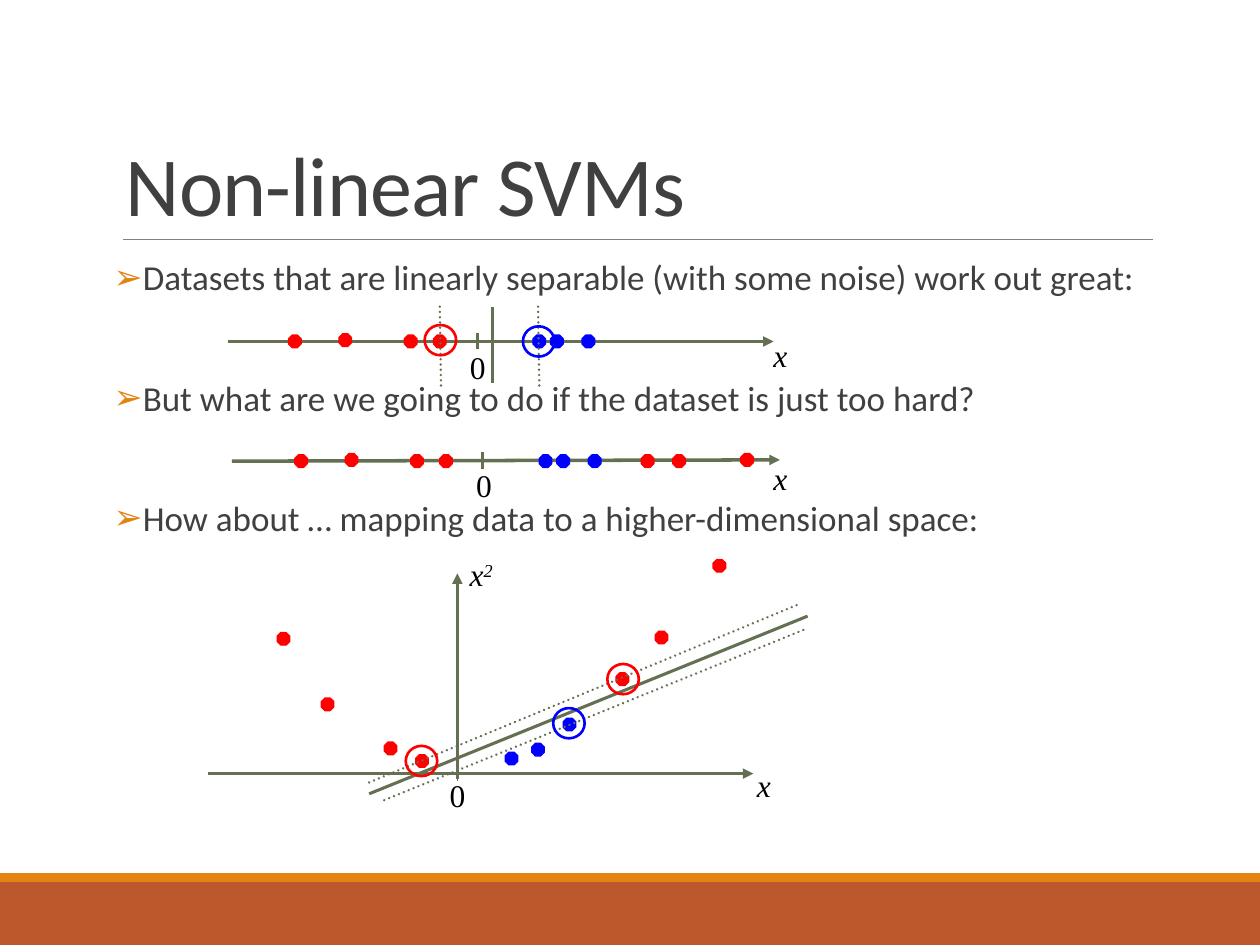
from lxml.etree import SubElement
from pptx import Presentation
from pptx.dml.color import RGBColor
from pptx.enum.dml import MSO_LINE
from pptx.enum.shapes import MSO_CONNECTOR, MSO_SHAPE
from pptx.enum.text import MSO_ANCHOR
from pptx.oxml.ns import qn
from pptx.util import Pt

PX = 9144
C = {
    "rust": "BD582C", "orange": "E48312", "rule": "808080", "text": "404040",
    "axis": "637052", "red": "FF0000", "blue": "0000FF", "black": "000000",
}
C = {k: RGBColor.from_string(v) for k, v in C.items()}

prs = Presentation()
prs.slide_width, prs.slide_height = 1000 * PX, 750 * PX
s = prs.slides.add_slide(prs.slide_layouts[6])


def add_line(x1, y1, x2, y2, width, color="axis", arrow=False, dotted=False):
    ln = s.shapes.add_connector(
        MSO_CONNECTOR.STRAIGHT, *[v * PX for v in (x1, y1, x2, y2)])
    ln.line.color.rgb = C[color]
    ln.line.width = Pt(width)
    if dotted:
        ln.line.dash_style = MSO_LINE.ROUND_DOT
        ln.line._get_or_add_ln().set("cap", "rnd")
    if arrow:
        SubElement(ln.line._get_or_add_ln(), qn("a:tailEnd"), type="triangle")
    SubElement(ln._element.spPr, qn("a:effectLst"))


def add_text(box, paras, size, color, font="Calibri", **fmt):
    tf = s.shapes.add_textbox(*[v * PX for v in box]).text_frame
    tf.word_wrap = True
    for k, v in fmt.items():
        setattr(tf, k, v)
    for i, text in enumerate(paras):
        p = tf.paragraphs[0] if i == 0 else tf.add_paragraph()
        r = p.add_run()
        r.text = text
        for k, v in {"size": Pt(size), "name": font}.items():
            setattr(r.font, k, v)
        r.font.color.rgb = C[color]
    return tf


for y, h, color in [(700, 50, "rust"), (693, 7, "orange")]:
    sp = s.shapes.add_shape(MSO_SHAPE.RECTANGLE, 0, y * PX, 1000 * PX, h * PX)
    sp.shadow.inherit = False
    sp.fill.solid()
    sp.fill.fore_color.rgb = C[color]
    sp.line.fill.background()
add_line(98, 190, 915, 190, 0.5, "rule")

tf = add_text((90, 31, 825, 159), ["Non-linear SVMs"], 48, "text",
              vertical_anchor=MSO_ANCHOR.BOTTOM)
p = tf.paragraphs[0]
p.line_spacing = 0.85
p.runs[0].font._element.set("spc", "-50")

tf = add_text((90, 202, 825, 440), [
    "Datasets that are linearly separable (with some noise) work out great:",
    "But what are we going to do if the dataset is just too hard?",
    "How about … mapping data to a higher-dimensional space:",
], 20, "text", margin_left=0, margin_right=0)
for p, before in zip(tf.paragraphs, (12, 45, 45)):
    for k, v in {"line_spacing": 0.9, "space_before": Pt(before),
                 "space_after": Pt(2)}.items():
        setattr(p, k, v)
    pPr = p._p.get_or_add_pPr()
    pPr.set("marL", str(10 * PX))
    pPr.set("indent", str(-10 * PX))
    clr = SubElement(pPr, qn("a:buClr"))
    SubElement(clr, qn("a:srgbClr"), val=str(C["orange"]))
    SubElement(pPr, qn("a:buFont"), typeface="Calibri")
    SubElement(pPr, qn("a:buChar"), char="➢")

for x1, y1, x2, y2 in [(165, 614, 598, 614), (363, 618, 363, 455),
                       (184, 366, 619, 365), (181, 271, 614, 271)]:
    add_line(x1, y1, x2, y2, 2, arrow=True)
for x, y1, y2, width in [(363, 607, 620, 0.75), (383, 359, 372, 1.5),
                         (379, 264, 277, 1.5), (391, 244, 304, 1.5)]:
    add_line(x, y1, x, y2, width)

dots = {
    "red": [(220, 502), (255, 554), (305, 589), (330, 599), (489, 534),
            (520, 501), (566, 444),
            (234, 361), (274, 360), (326, 361), (349, 361), (509, 361),
            (534, 361), (588, 360),
            (229, 266), (269, 265), (321, 266), (344, 266)],
    "blue": [(422, 590), (447, 570), (401, 597),
             (442, 361), (467, 361), (428, 361),
             (437, 266), (462, 266), (423, 266)],
}
for color, spots in dots.items():
    for x, y in spots:
        sp = s.shapes.add_shape(MSO_SHAPE.OCTAGON, x * PX, y * PX, 10 * PX, 10 * PX)
        sp.shadow.inherit = False
        sp.fill.solid()
        sp.fill.fore_color.rgb = sp.line.color.rgb = C[color]
        sp.line.width = Pt(0.75)

add_line(293, 630, 641, 489, 1.75)
for margin in [(428, 306, 427, 240), (350, 306, 349, 240),
               (293, 621, 633, 480), (305, 635, 640, 499)]:
    add_line(*margin, 1.5, dotted=True)

for x, y, color in [(415, 259, "blue"), (337, 258, "red"), (482, 527, "red"),
                    (439, 562, "blue"), (322, 592, "red")]:
    sp = s.shapes.add_shape(MSO_SHAPE.OVAL, x * PX, y * PX, 25 * PX, 24 * PX)
    sp.shadow.inherit = False
    sp.fill.background()
    sp.line.color.rgb = C[color]
    sp.line.width = Pt(1.5)

for x, y, label in [(347, 611, "0"), (368, 365, "0"), (363, 271, "0"),
                    (591, 603, "x"), (604, 359, "x"), (604, 262, "x"),
                    (363, 436, "x2")]:
    tf = add_text((x, y, 38 if label == "0" else 50, 40), [label[0]], 18,
                  "black", "Times New Roman")
    p = tf.paragraphs[0]
    p.runs[0].font.italic = label != "0"
    if label == "x2":
        r = p.add_run()
        r.text = label[1]
        for k, v in {"size": Pt(18), "name": "Times New Roman", "italic": True}.items():
            setattr(r.font, k, v)
        r.font.color.rgb = C["black"]
        r.font._element.set("baseline", "30000")

prs.save("out.pptx")
